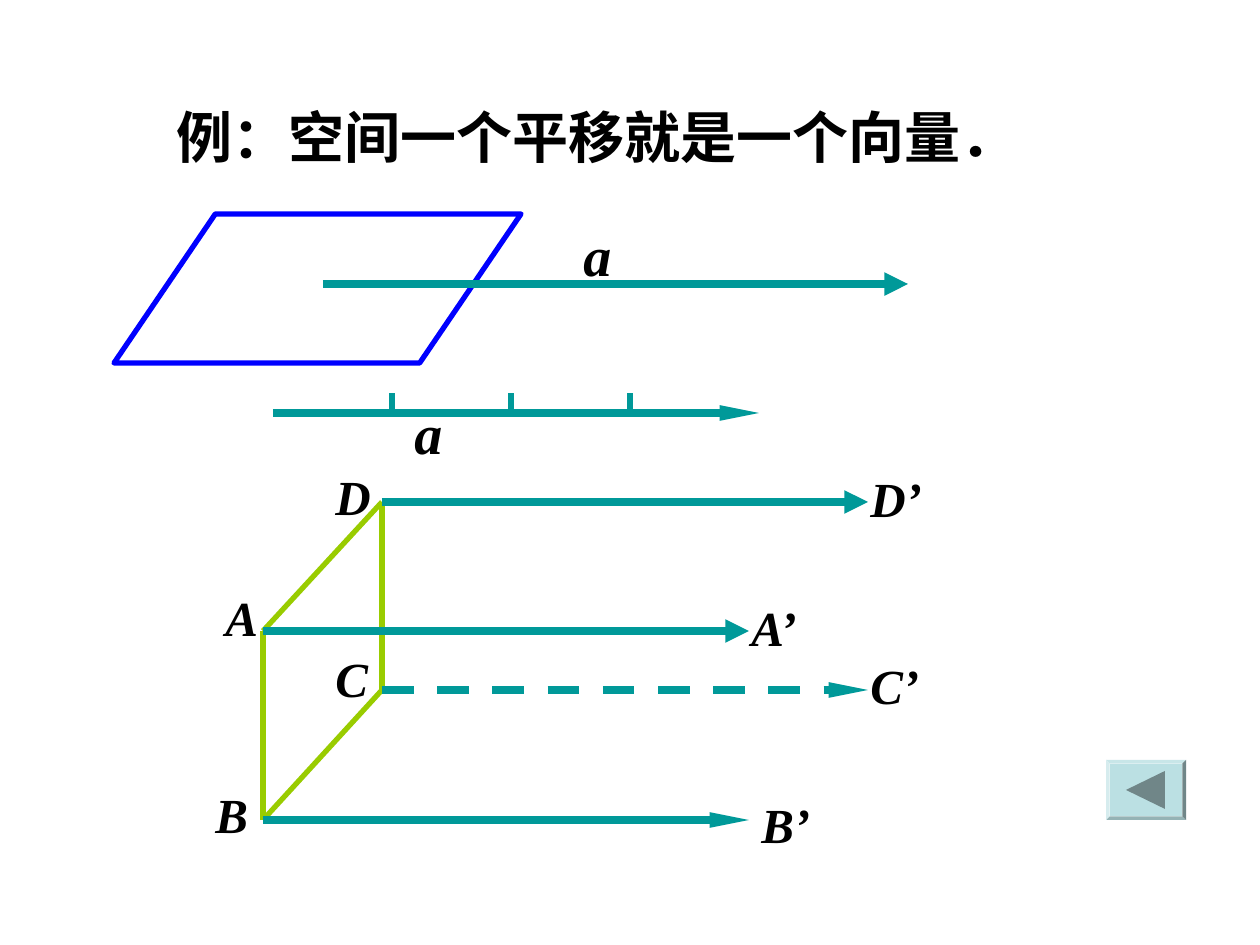
from lxml import etree
from pptx import Presentation
from pptx import util as u
from pptx.dml.color import RGBColor
from pptx.enum import dml, shapes, text
from pptx.oxml.ns import qn

SCALE = 914400 / 126
BLUE, TEAL, LIME = "0000FF", "009999", "99CC00"
PALE, GREY, BLACK = "BBE0E3", "708688", "000000"


def px(n):
    return u.Emu(round(n * SCALE))


def color(code):
    return RGBColor.from_string(code)


class Board:
    font = "Times New Roman"

    def __init__(self, deck):
        self.slide = deck.slides.add_slide(deck.slide_layouts[5])
        self.items = self.slide.shapes

    def letter(self, frame, words, size, slant):
        frame.word_wrap = True
        frame.vertical_anchor = text.MSO_ANCHOR.TOP
        para = frame.paragraphs[0]
        para.alignment = text.PP_ALIGN.LEFT
        run = para.add_run()
        run.text = words
        run.font.name = self.font
        run.font.size = u.Pt(size)
        run.font.bold = True
        run.font.italic = slant
        run.font.color.rgb = color(BLACK)

    def title(self, words, x, y, w, h):
        box = self.items.title
        box.left, box.top, box.width, box.height = map(px, (x, y, w, h))
        box.text_frame.auto_size = text.MSO_AUTO_SIZE.NONE
        self.letter(box.text_frame, words, 32, False)

    def label(self, words, x, y, w=110, h=72, size=28):
        box = self.items.add_textbox(px(x), px(y), px(w), px(h))
        box.text_frame.auto_size = text.MSO_AUTO_SIZE.SHAPE_TO_FIT_TEXT
        self.letter(box.text_frame, words, size, True)

    def line(self, start, end, code, width=3, dash=False):
        item = self.items.add_connector(
            shapes.MSO_CONNECTOR.STRAIGHT, *map(px, (*start, *end)))
        item.line.color.rgb = color(code)
        item.line.width = u.Pt(width)
        if dash:
            item.line.dash_style = dml.MSO_LINE.DASH
        etree.SubElement(item._element.spPr, qn("a:effectLst"))
        return item

    def arrow(self, start, length, slim=False, dash=False):
        end = (start[0] + length, start[1])
        item = self.line(start, end, TEAL, 4.5, dash)
        wide, long = ("sm", "lg") if slim else ("med", "med")
        ln = item._element.spPr.find(qn("a:ln"))
        etree.SubElement(ln, qn("a:tailEnd"), type="triangle", w=wide, len=long)

    def shape(self, kind, x, y, w, h, adj):
        item = self.items.add_shape(kind, *map(px, (x, y, w, h)))
        item.adjustments[0] = adj
        item.shadow.inherit = False
        return item

    def plane(self, x, y, w, h):
        item = self.shape(shapes.MSO_SHAPE.PARALLELOGRAM, x, y, w, h, 0.68)
        item.fill.background()
        item.line.color.rgb = color(BLUE)
        item.line.width = u.Pt(3)

    def fill(self, item, code):
        item.fill.solid()
        item.fill.fore_color.rgb = color(code)
        item.line.fill.background()

    def button(self, x, y, w, h):
        self.fill(self.shape(shapes.MSO_SHAPE.BEVEL, x, y, w, h, 0.06), PALE)
        mid = y + h / 2
        outline = self.items.build_freeform(x + 20, mid, scale=SCALE)
        outline.add_line_segments([(x + 59, mid - 19), (x + 59, mid + 19)])
        sign = outline.convert_to_shape()
        sign.shadow.inherit = False
        self.fill(sign, GREY)


def main():
    deck = Presentation()
    deck.slide_width, deck.slide_height = px(1260), px(945)
    board = Board(deck)
    board.title("例：空间一个平移就是一个向量．", 164, 96, 942, 81)

    board.plane(114, 214, 407, 149)
    board.arrow((323, 284), 585)
    board.label("a", 571, 214, 69, 81, 32)

    dots = {"A": (263, 631), "B": (263, 820), "C": (382, 690), "D": (382, 502)}
    for pair in ("DC", "CB", "BA", "AD"):
        board.line(dots[pair[0]], dots[pair[1]], LIME)
    for name in "DABC":
        board.arrow(dots[name], 486, slim=name in "BC", dash=name == "C")

    spots = {
        "A": (213, 581), "B": (203, 778), "C": (323, 642), "D": (323, 460),
        "A’": (739, 591), "B’": (749, 788), "C’": (858, 649), "D’": (858, 462),
    }
    for name, spot in spots.items():
        board.label(name, *spot)

    board.arrow((273, 413), 486, slim=True)
    for step in range(3):
        x = 392 + 119 * step
        board.line((x, 413), (x, 393), TEAL)
    board.label("a", 402, 392, 69, 81, 32)

    board.button(1106, 760, 80, 60)
    deck.save("out.pptx")


if __name__ == "__main__":
    main()
